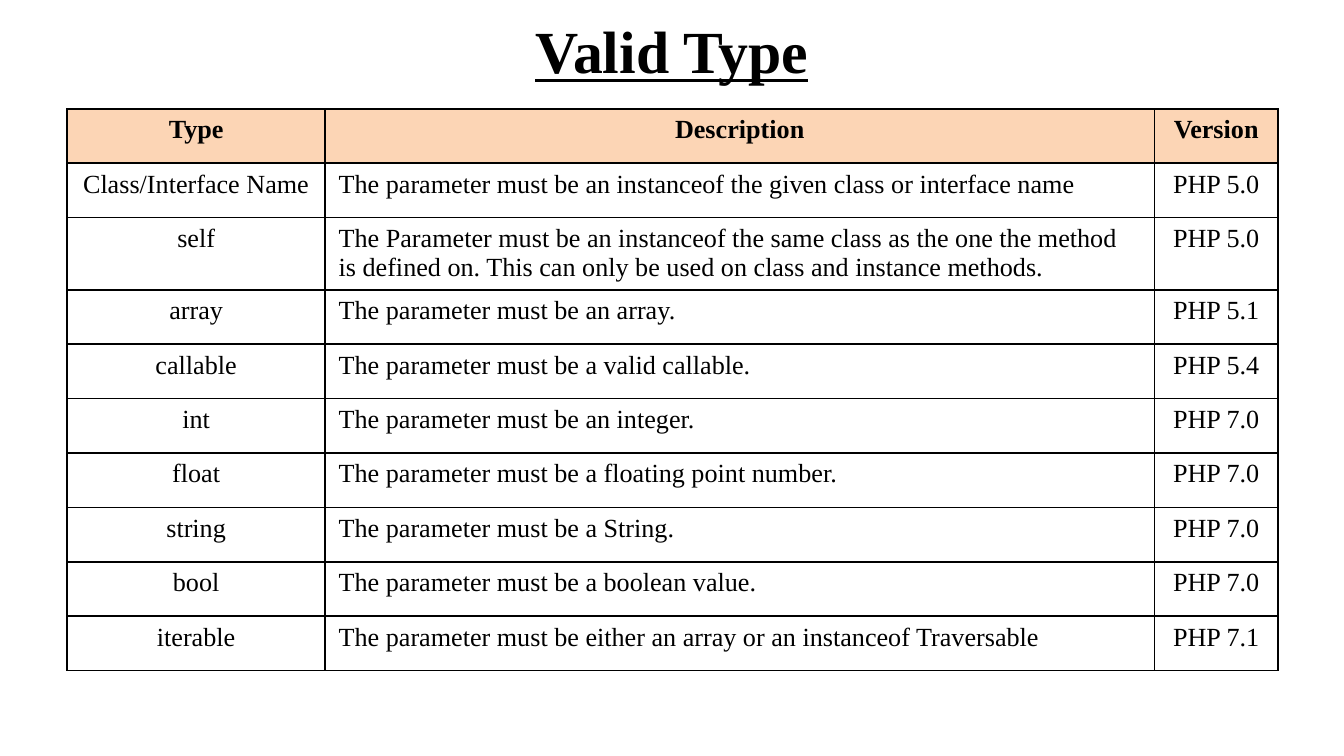
"""Build a slide listing the valid PHP parameter types."""
from dataclasses import dataclass

from lxml import etree
from pptx import Presentation
from pptx.dml.color import RGBColor
from pptx.enum.text import MSO_ANCHOR, PP_ALIGN
from pptx.oxml.ns import qn
from pptx.util import Inches, Pt

CENTER, LEFT = PP_ALIGN.CENTER, PP_ALIGN.LEFT
MIDDLE = MSO_ANCHOR.MIDDLE


@dataclass(frozen=True)
class Theme:
    """Colours, font and type sizes of the slide."""
    font: str = "Times New Roman"
    ink: str = "000000"
    header: str = "FCD5B5"
    title_size: int = 32
    cell_size: int = 14
    border: int = 1


THEME = Theme()
COLUMNS = [("Type", 1.92, CENTER), ("Description", 6.17, LEFT), ("Version", 0.92, CENTER)]
TYPES = [
    ("Class/Interface Name",
     "The parameter must be an instanceof the given class or interface name", "PHP 5.0"),
    ("self",
     "The Parameter must be an instanceof the same class as the one the method "
     "is defined on. This can only be used on class and instance methods.", "PHP 5.0"),
    ("array", "The parameter must be an array.", "PHP 5.1"),
    ("callable", "The parameter must be a valid callable.", "PHP 5.4"),
    ("int", "The parameter must be an integer.", "PHP 7.0"),
    ("float", "The parameter must be a floating point number.", "PHP 7.0"),
    ("string", "The parameter must be a String.", "PHP 7.0"),
    ("bool", "The parameter must be a boolean value.", "PHP 7.0"),
    ("iterable", "The parameter must be either an array or an instanceof Traversable", "PHP 7.1"),
]


def write(tf, text, size, align, bold=False, underline=False):
    """Put one styled paragraph into a text frame."""
    p = tf.paragraphs[0]
    p.text = text
    p.alignment = align
    p.font.name = THEME.font
    p.font.size = Pt(size)
    p.font.bold = bold
    p.font.underline = underline
    p.font.color.rgb = RGBColor.from_string(THEME.ink)


def add_title(s, text):
    """Add the underlined slide title."""
    sp = s.shapes.add_textbox(Inches(0.5), Inches(-0.1), Inches(9), Inches(0.94))
    tf = sp.text_frame
    tf.word_wrap = True
    tf.vertical_anchor = MIDDLE
    write(tf, text, THEME.title_size, CENTER, bold=True, underline=True)


def add_borders(cell):
    """Draw a solid line on all four sides of a cell."""
    tc_pr = cell._tc.get_or_add_tcPr()
    for side in ("a:lnL", "a:lnR", "a:lnT", "a:lnB"):
        ln = etree.SubElement(tc_pr, qn(side), w=str(Pt(THEME.border)))
        fill = etree.SubElement(ln, qn("a:solidFill"))
        etree.SubElement(fill, qn("a:srgbClr"), val=THEME.ink)


def fill_cell(cell, text, align, is_header):
    """Write and style one table cell."""
    write(cell.text_frame, text, THEME.cell_size, CENTER if is_header else align, bold=is_header)
    cell.margin_bottom = Inches(0.02)
    add_borders(cell)
    if is_header:
        cell.fill.solid()
        cell.fill.fore_color.rgb = RGBColor.from_string(THEME.header)
    else:
        cell.fill.background()


def add_type_table(s):
    """Add the table of types, descriptions and versions."""
    rows = [[name for name, _, _ in COLUMNS], *TYPES]
    table = s.shapes.add_table(len(rows), len(COLUMNS), Inches(0.5), Inches(0.81),
                               Inches(9), Inches(4.05)).table
    table.horz_banding = False
    for column, (_, width, _) in zip(table.columns, COLUMNS):
        column.width = Inches(width)
    for i, row in enumerate(rows):
        for j, text in enumerate(row):
            fill_cell(table.cell(i, j), text, COLUMNS[j][2], is_header=i == 0)


def main():
    """Build and save the presentation."""
    prs = Presentation()
    prs.slide_width = Inches(10)
    prs.slide_height = prs.slide_width * 9 // 16
    s = prs.slides.add_slide(prs.slide_layouts[6])
    add_title(s, "Valid Type")
    add_type_table(s)
    prs.save("out.pptx")


if __name__ == "__main__":
    main()
